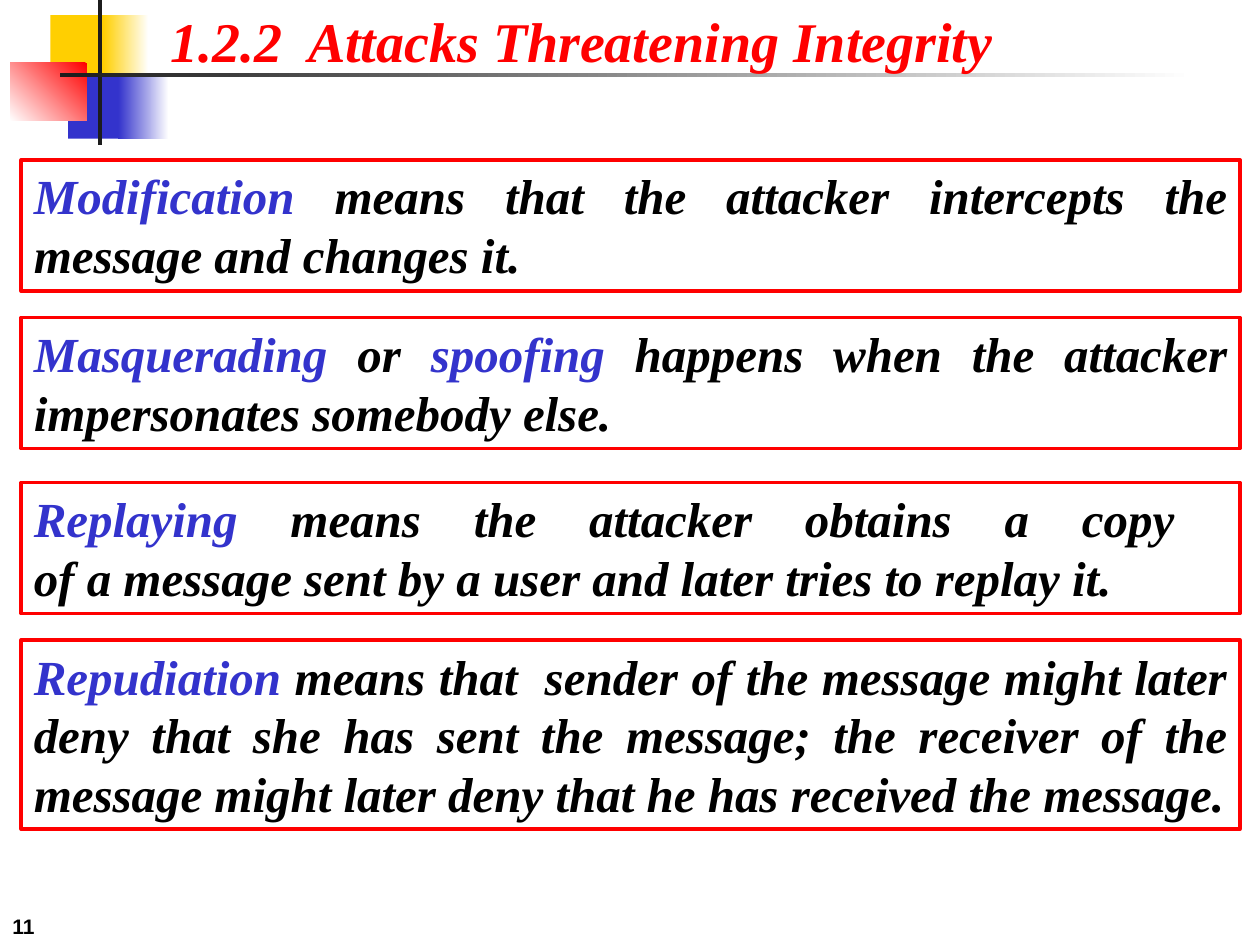
import pptx
import pptx.dml.color
import pptx.enum.shapes
import pptx.enum.text
import pptx.util

Inches = pptx.util.Inches
Pt = pptx.util.Pt
RGBColor = pptx.dml.color.RGBColor
ALIGN = pptx.enum.text.PP_ALIGN
ANCHOR = pptx.enum.text.MSO_ANCHOR

RED = RGBColor(0xFF, 0x00, 0x00)
YELLOW = RGBColor(0xFF, 0xCF, 0x01)
BLUE = RGBColor(0x33, 0x33, 0xCC)
CHARCOAL = RGBColor(0x1C, 0x1C, 0x1C)
BLACK = RGBColor(0x00, 0x00, 0x00)
WHITE = RGBColor(0xFF, 0xFF, 0xFF)

ORNAMENT = [
    ((0.4, 0.12, 0.48, 0.52), [YELLOW], 0),
    ((0.82, 0.12, 0.36, 0.52), [WHITE, YELLOW], 180),
    ((0.54, 0.58, 0.46, 0.52), [BLUE], 0),
    ((0.94, 0.58, 0.4, 0.52), [WHITE, BLUE], 180),
    ((0.08, 0.5, 0.61, 0.46), [RED, WHITE], 225),
    ((0.78, 0, 0.03, 1.15), [CHARCOAL], 0),
    ((0.48, 0.58, 9, 0.03), [WHITE, CHARCOAL], 180),
]

DEFINITIONS = [
    (1.27, 1.04, [("Modification ", BLUE),
                  ("means that the attacker intercepts the message and changes it.", BLACK)]),
    (2.52, 1.04, [("Masquerading", BLUE), (" or ", BLACK), ("spoofing", BLUE),
                  (" happens when the attacker impersonates somebody else.", BLACK)]),
    (3.83, 1.04, [("Replaying", BLUE),
                  (" means the attacker obtains a copy \n"
                   "of a message sent by a user and later tries to replay it. ", BLACK)]),
    (5.08, 1.5, [("Repudiation", BLUE),
                 (" means that  sender of the message might later deny that she has sent "
                  "the message; the receiver of the message might later deny that he has "
                  "received the message.", BLACK)]),
]


def write_text(box, pieces, size, font="Times New Roman", italic=True, align=ALIGN.LEFT,
               anchor=ANCHOR.TOP, wrap=True, spacing=None):
    """Fill a box with one paragraph of coloured bold pieces."""
    frame = box.text_frame
    frame.word_wrap = wrap
    frame.auto_size = pptx.enum.text.MSO_AUTO_SIZE.NONE
    frame.vertical_anchor = anchor
    frame.margin_left = frame.margin_right = Inches(0.1)
    frame.margin_top = frame.margin_bottom = Inches(0.05)
    para = frame.paragraphs[0]
    para.alignment = align
    if spacing:
        para.line_spacing = Pt(spacing)
    for text, color in pieces:
        for index, line in enumerate(text.split("\n")):
            if index:
                para.add_line_break()
            span = para.add_run()
            span.text = line
            span.font.name = font
            span.font.size = Pt(size)
            span.font.bold = True
            span.font.italic = italic
            span.font.color.rgb = color


def add_rectangle(page, place):
    """Add a rectangle without shadow at a place given in inches."""
    box = page.shapes.add_shape(pptx.enum.shapes.MSO_SHAPE.RECTANGLE, *map(Inches, place))
    box.shadow.inherit = False
    return box


def add_block(page, place, colors, angle):
    """Add a borderless block with a solid or gradient fill."""
    block = add_rectangle(page, place)
    block.line.fill.background()
    if len(colors) == 1:
        block.fill.solid()
        block.fill.fore_color.rgb = colors[0]
        return
    block.fill.gradient()
    block.fill.gradient_angle = angle
    for stop, color, position in zip(block.fill.gradient_stops, colors, (0, 1)):
        stop.color.rgb = color
        stop.position = position


def add_title(page, text):
    """Place the title in front of the ornament."""
    title = page.shapes.title
    title.left, title.top, title.width, title.height = map(Inches, (1.25, 0, 6.75, 0.64))
    write_text(title, [(text, RED)], 32, wrap=False, spacing=38.5)
    title.element.getparent().append(title.element)


def add_definition(page, top, height, pieces):
    """Add a red-framed definition."""
    box = add_rectangle(page, (0.17, top, 9.67, height))
    box.fill.background()
    box.line.color.rgb = RED
    box.line.width = Pt(2.25)
    write_text(box, pieces, 28, align=ALIGN.JUSTIFY, spacing=33.5)


def add_page_number(page, number):
    """Add the page number in the lower left corner."""
    box = page.shapes.add_textbox(*map(Inches, (0, 7, 2.08, 0.5)))
    write_text(box, [(number, BLACK)], 12, font="Arial", italic=False, anchor=ANCHOR.BOTTOM)


def main():
    """Build the slide and save the deck."""
    deck = pptx.Presentation()
    deck.slide_width, deck.slide_height = Inches(10), Inches(7.5)
    page = deck.slides.add_slide(deck.slide_layouts[5])
    for place, colors, angle in ORNAMENT:
        add_block(page, place, colors, angle)
    add_title(page, "1.2.2  Attacks Threatening Integrity")
    for top, height, pieces in DEFINITIONS:
        add_definition(page, top, height, pieces)
    add_page_number(page, "11")
    deck.save("out.pptx")


if __name__ == "__main__":
    main()
